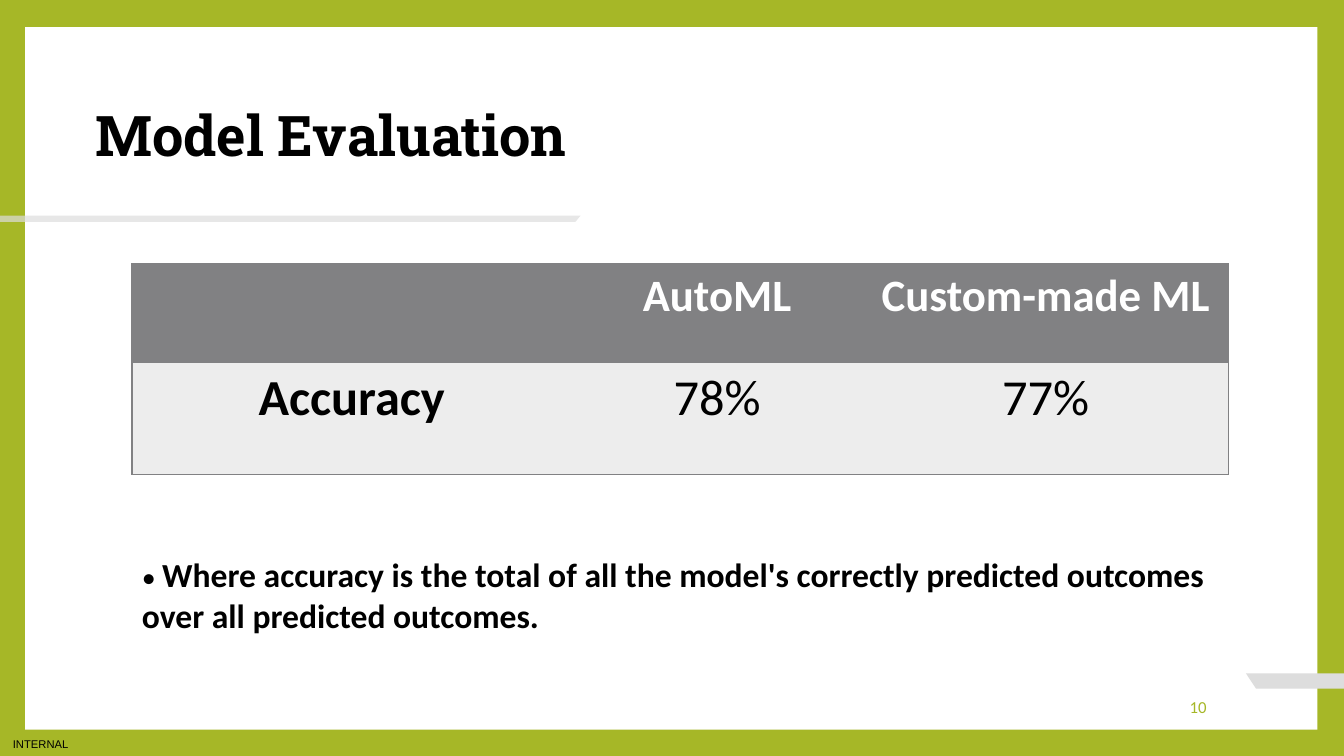
from pptx import Presentation
from pptx.dml.color import RGBColor
from pptx.enum.shapes import MSO_SHAPE
from pptx.enum.text import MSO_ANCHOR, PP_ALIGN
from pptx.oxml import parse_xml
from pptx.oxml.ns import nsdecls, qn
from pptx.util import Pt
from lxml.etree import SubElement

COLORS = {"green": "A6B727", "white": "FFFFFF", "black": "000000",
          "gray": "818183", "pale": "EDEDED", "bar": "DDDDDD"}
SIZE = (960, 540)
PANEL = (18, 19.4, 923, 501.8)
BARS = [([(960, 480.9), (960, 491.8), (897.1, 491.8), (889.9, 480.9)], 100),
        ([(0, 154), (0, 158.4), (411.1, 158.4), (414.7, 154)], 70)]
TEXTS = [
    {"box": (0, 522.7, 58.3, 17.3), "ins": (9.2, 0, 0, 0), "anchor": MSO_ANCHOR.MIDDLE,
     "runs": [("INTERNAL", 8, "Arial", "black", False)]},
    {"box": (734.4, 490.3, 134.6, 28.8), "anchor": MSO_ANCHOR.MIDDLE, "align": PP_ALIGN.RIGHT,
     "runs": [("10", 12, "Calibri", "green", False)]},
    {"box": (61.2, 73.4, 383, 59), "spacing": 0.9,
     "runs": [("Model Evaluation", 40, "Roboto Slab", "black", True)]},
    {"box": (94.3, 392.4, 803.5, 65.5),
     "runs": [("• ", 20, "Calibri", "black", False),
              ("Where accuracy is the total of all the model's correctly predicted "
               "outcomes over all predicted outcomes.", 24, "Calibri", "black", True)]},
]
TABLE_AT = (94.3, 188.4)
COLS = (313.9, 208.1, 261.4)
ROWS = [(70.6, "gray", "white", 32, ("", "AutoML", "Custom-made ML")),
        (79.9, "pale", "black", 36, ("Accuracy", "78%", "77%"))]


def rgb(name):
    return RGBColor.from_string(COLORS[name])


def paint(sp, color):
    sp.shadow.inherit = False
    sp.fill.solid()
    sp.fill.fore_color.rgb = rgb(color)
    sp.line.fill.background()


def add_run(p, text, size, font, color, bold):
    r = p.add_run()
    r.text = text
    r.font.size, r.font.name, r.font.bold = Pt(size), font, bold
    r.font.color.rgb = rgb(color)


def add_bar(s, points, opacity):
    fb = s.shapes.build_freeform(*map(Pt, points[0]))
    fb.add_line_segments([(Pt(x), Pt(y)) for x, y in points[1:]], close=True)
    sp = fb.convert_to_shape()
    paint(sp, "bar")
    if opacity < 100:
        clr = sp._element.spPr.find(qn("a:solidFill"))[0]
        SubElement(clr, qn("a:alpha")).set("val", str(opacity * 1000))


def add_text(s, box, runs, ins=(7.2, 3.6, 7.2, 3.6), anchor=MSO_ANCHOR.TOP,
             align=PP_ALIGN.LEFT, spacing=None):
    tf = s.shapes.add_textbox(*map(Pt, box)).text_frame
    tf.word_wrap, tf.vertical_anchor = True, anchor
    tf.margin_left, tf.margin_top, tf.margin_right, tf.margin_bottom = map(Pt, ins)
    p = tf.paragraphs[0]
    p.alignment, p.line_spacing = align, spacing
    for run in runs:
        add_run(p, *run)


def set_borders(cell, visible):
    tc_pr = cell._tc.get_or_add_tcPr()
    for i, side in enumerate("LRTB"):
        fill = (f'<a:solidFill><a:srgbClr val="{COLORS["gray"]}"/></a:solidFill>'
                if side in visible else "<a:noFill/>")
        tc_pr.insert(i, parse_xml(f'<a:ln{side} {nsdecls("a")} w="12700">{fill}</a:ln{side}>'))


def add_scores(s):
    height = sum(row[0] for row in ROWS)
    frame = s.shapes.add_table(len(ROWS), len(COLS), *map(Pt, (*TABLE_AT, sum(COLS), height)))
    table = frame.table
    for col, width in zip(table.columns, COLS):
        col.width = Pt(width)
    for i, (row_height, fill, color, size, labels) in enumerate(ROWS):
        table.rows[i].height = Pt(row_height)
        for j, label in enumerate(labels):
            cell = table.cell(i, j)
            cell.fill.solid()
            cell.fill.fore_color.rgb = rgb(fill)
            set_borders(cell, "TB" + "L" * (j == 0) + "R" * (j == len(COLS) - 1))
            p = cell.text_frame.paragraphs[0]
            p.alignment = PP_ALIGN.CENTER
            if label:
                add_run(p, label, size, "Calibri", color, i == 0 or j == 0)


def main():
    """Build the model evaluation slide."""
    prs = Presentation()
    prs.slide_width, prs.slide_height = map(Pt, SIZE)
    s = prs.slides.add_slide(prs.slide_layouts[6])
    s.background.fill.solid()
    s.background.fill.fore_color.rgb = rgb("green")
    paint(s.shapes.add_shape(MSO_SHAPE.RECTANGLE, *map(Pt, PANEL)), "white")
    for points, opacity in BARS:
        add_bar(s, points, opacity)
    for text in TEXTS:
        add_text(s, **text)
    add_scores(s)
    prs.save("out.pptx")


if __name__ == "__main__":
    main()
